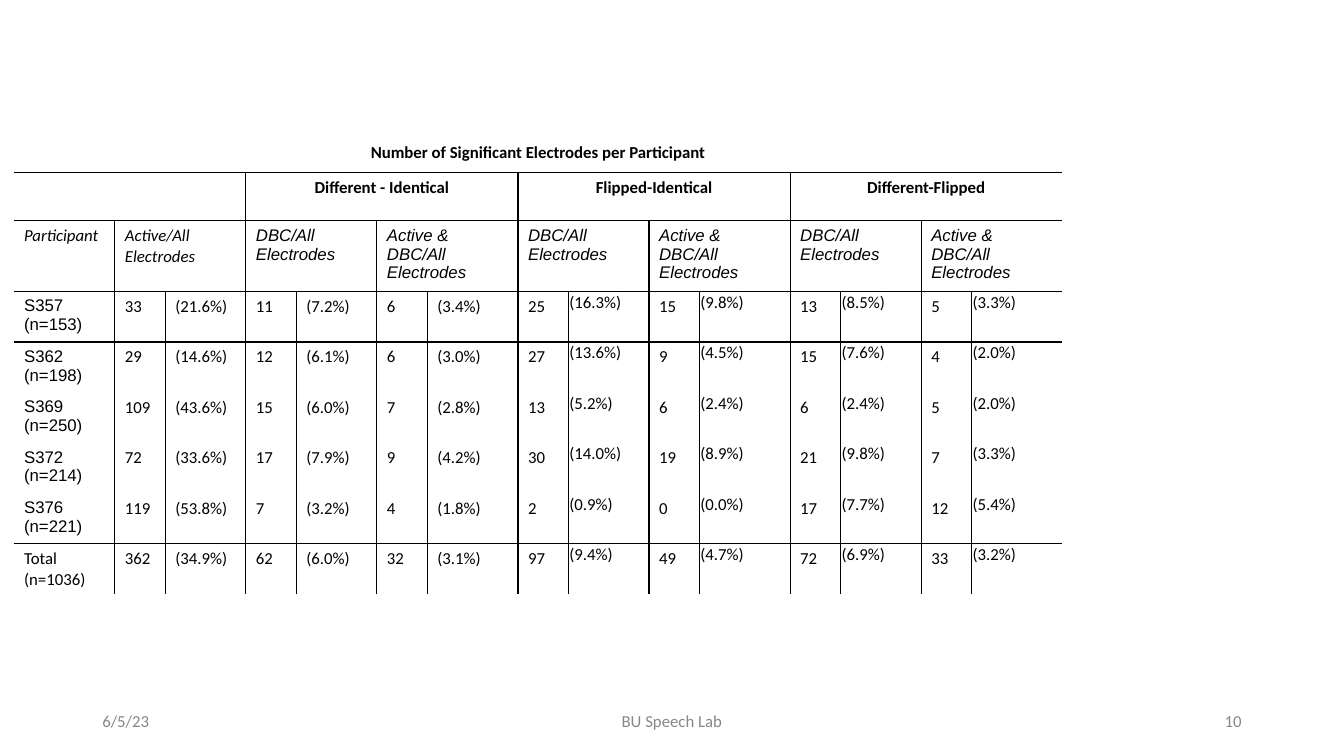
from lxml import etree
from pptx import Presentation
from pptx.dml.color import RGBColor
from pptx.enum import text
from pptx.oxml import ns
from pptx.util import Pt

BLACK = RGBColor(0x00, 0x00, 0x00)
GREY = RGBColor(0x88, 0x88, 0x88)
PLAIN_STYLE = "{2D5ABB26-0587-4C30-8999-92F81FD0307C}"
LEFT, CENTER, RIGHT = text.PP_ALIGN.LEFT, text.PP_ALIGN.CENTER, text.PP_ALIGN.RIGHT


def write(tf, words, font="Calibri", color=BLACK, align=LEFT, bold=False, italic=False):
    p = tf.paragraphs[0]
    p.text = words
    p.alignment = align
    f = p.font
    f.name, f.size, f.bold, f.italic = font, Pt(12), bold, italic
    f.color.rgb = color


def add_border(cell, side):
    tc_pr = cell._tc.get_or_add_tcPr()
    ln = etree.Element(ns.qn("a:" + side), w=str(Pt(1)))
    fill = etree.SubElement(ln, ns.qn("a:solidFill"))
    etree.SubElement(fill, ns.qn("a:srgbClr"), val=str(BLACK))
    tc_pr.insert(0, ln)


prs = Presentation()
prs.slide_width, prs.slide_height = Pt(960), Pt(540)
s = prs.slides.add_slide(prs.slide_layouts[6])

# Footer
for words, left, width, align in [
    ("6/5/23", 66, 216, LEFT),
    ("BU Speech Lab", 318, 324, CENTER),
    ("10", 678, 216, RIGHT),
]:
    tf = s.shapes.add_textbox(Pt(left), Pt(500.5), Pt(width), Pt(28.75)).text_frame
    tf.word_wrap = True
    tf.vertical_anchor = text.MSO_ANCHOR.MIDDLE
    write(tf, words, color=GREY, align=align)

# Electrode counts with percentages, one pair per measure
rows = [
    ("S357 (n=153)", "33 21.6 11 7.2 6 3.4 25 16.3 15 9.8 13 8.5 5 3.3"),
    ("S362 (n=198)", "29 14.6 12 6.1 6 3.0 27 13.6 9 4.5 15 7.6 4 2.0"),
    ("S369 (n=250)", "109 43.6 15 6.0 7 2.8 13 5.2 6 2.4 6 2.4 5 2.0"),
    ("S372 (n=214)", "72 33.6 17 7.9 9 4.2 30 14.0 19 8.9 21 9.8 7 3.3"),
    ("S376 (n=221)", "119 53.8 7 3.2 4 1.8 2 0.9 0 0.0 17 7.7 12 5.4"),
    ("Total (n=1036)", "362 34.9 62 6.0 32 3.1 97 9.4 49 4.7 72 6.9 33 3.2"),
]
col_widths = [72, 36, 57.6] + [36, 57.6, 36, 64.8] * 3
row_heights = [25.2, 34.6, 48] + [36] * len(rows)

# Table grid
frame = s.shapes.add_table(len(row_heights), len(col_widths), Pt(10), Pt(98),
                           Pt(sum(col_widths)), Pt(sum(row_heights)))
tbl = frame.table
tbl.first_row = tbl.horz_banding = False
tbl._tbl.tblPr.find(ns.qn("a:tableStyleId")).text = PLAIN_STYLE
for col, width in zip(tbl.columns, col_widths):
    col.width = Pt(width)
for row, height in zip(tbl.rows, row_heights):
    row.height = Pt(height)

# Title and comparison groups
tbl.cell(0, 0).merge(tbl.cell(0, 14))
write(tbl.cell(0, 0).text_frame, "Number of Significant Electrodes per Participant",
      align=CENTER, bold=True)
tbl.cell(1, 1).merge(tbl.cell(1, 2))
for i, group in enumerate(["Different - Identical", "Flipped-Identical", "Different-Flipped"]):
    c = 3 + 4 * i
    tbl.cell(1, c).merge(tbl.cell(1, c + 3))
    write(tbl.cell(1, c).text_frame, group, align=CENTER, bold=True)

# Column headings
write(tbl.cell(2, 0).text_frame, "Participant", italic=True)
headings = ["Active/All Electrodes"] + ["DBC/All Electrodes", "Active & DBC/All Electrodes"] * 3
for i, heading in enumerate(headings):
    c = 1 + 2 * i
    tbl.cell(2, c).merge(tbl.cell(2, c + 1))
    write(tbl.cell(2, c).text_frame, heading, "Arial" if i else "Calibri", italic=True)

# Data rows
for r, (name, values) in enumerate(rows, 3):
    write(tbl.cell(r, 0).text_frame, name, "Arial" if name.startswith("S") else "Calibri")
    for c, value in enumerate(values.split(), 1):
        cell = tbl.cell(r, c)
        is_percent = c % 2 == 0
        write(cell.text_frame, f"({value}%)" if is_percent else value)
        if is_percent and c > 7:
            cell.margin_left = cell.margin_right = cell.margin_top = Pt(0.7)
            cell.margin_bottom = Pt(0)

# Fills and rules
for r in range(len(row_heights)):
    for c in range(len(col_widths)):
        cell = tbl.cell(r, c)
        cell.fill.background()
        if r in (1, 3, 8):
            add_border(cell, "lnT")
        if (r == 1 and c in (3, 7, 11)) or (r > 1 and c % 2 == 1):
            add_border(cell, "lnL")

prs.save("out.pptx")
